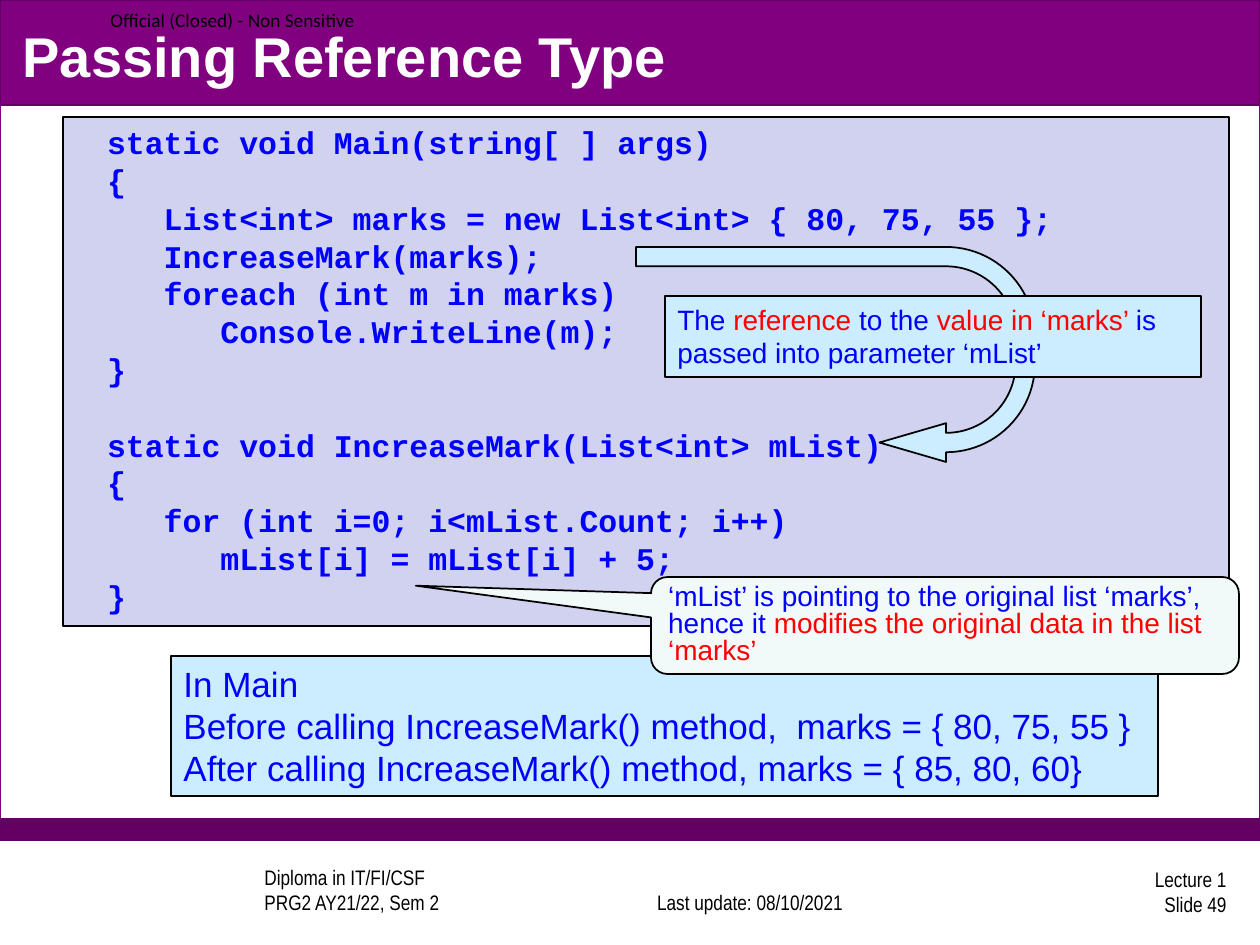
from pptx import Presentation
from pptx.dml.color import RGBColor
from pptx.enum.shapes import MSO_SHAPE as Shape
from pptx.enum.text import MSO_ANCHOR as Anchor, PP_ALIGN as Align
from pptx.util import Pt

EMU_PER_PX = 914400 / 126

BLACK = RGBColor(0, 0, 0)
WHITE = RGBColor(255, 255, 255)
PURPLE = RGBColor(0x80, 0x00, 0x80)
DARK_PURPLE = RGBColor(0x64, 0x00, 0x64)
LAVENDER = RGBColor(0xD1, 0xD1, 0xF0)
SKY = RGBColor(0xCC, 0xEC, 0xFF)
MINT = RGBColor(0xF1, 0xF9, 0xF9)
BLUE = RGBColor(0, 0, 255)
RED = RGBColor(255, 0, 0)

TITLE = "Passing Reference Type"

# Each block is a list of methods, each method a list of lines
CODE_METHODS = [
    [
        "static void Main(string[ ] args)",
        "{",
        "   List<int> marks = new List<int> { 80, 75, 55 };",
        "   IncreaseMark(marks);",
        "   foreach (int m in marks)",
        "      Console.WriteLine(m);",
        "}",
    ],
    [
        "static void IncreaseMark(List<int> mList)",
        "{",
        "   for (int i=0; i<mList.Count; i++)",
        "      mList[i] = mList[i] + 5;",
        "}",
    ],
]
RESULT_LINES = [
    "In Main",
    "Before calling IncreaseMark() method,  marks = { 80, 75, 55 }",
    "After calling IncreaseMark() method, marks = { 85, 80, 60}",
]
CALLOUT_SPANS = [
    ("‘mList’ is pointing to the original list ‘marks’, hence it ", BLUE),
    ("modifies the original data in the list ‘marks’", RED),
]
REFERENCE_SPANS = [
    ("The ", BLUE),
    ("reference", RED),
    (" to the ", BLUE),
    ("value in ‘marks’ ", RED),
    ("is passed into parameter ‘mList’", BLUE),
]

# place, fill, line
BANDS = [
    ((0, 0, 1260, 840), WHITE, PURPLE),
    ((0, 819, 1260, 21), DARK_PURPLE, DARK_PURPLE),
    ((0, 0, 1260, 105), PURPLE, DARK_PURPLE),
]
# text, place, anchor, alignment, font, size
LABELS = [
    ("Diploma in IT/FI/CSF\vPRG2 AY21/22, Sem 2", (252, 868, 336, 53),
     Anchor.BOTTOM, Align.LEFT, "Arial Narrow", 12),
    ("Last update: 08/10/2021", (619, 868, 262, 53),
     Anchor.BOTTOM, Align.CENTER, "Arial Narrow", 12),
    ("Lecture 1\vSlide 49", (977, 865, 262, 53),
     Anchor.MIDDLE, Align.RIGHT, "Arial Narrow", 12),
    ("Official (Closed) - Non Sensitive", (98, 0, 281, 39),
     Anchor.MIDDLE, Align.LEFT, "Calibri", 11),
]


def px(length):
    return round(length * EMU_PER_PX)


def style(para, name, size, color=None, bold=False, align=Align.LEFT):
    para.alignment = align
    para.font.name = name
    para.font.size = Pt(size)
    para.font.bold = bold
    if color is not None:
        para.font.color.rgb = color


def add_panel(page, kind, place, fill, line, weight=0.75, anchor=Anchor.TOP):
    panel = page.shapes.add_shape(kind, *map(px, place))
    panel.shadow.inherit = False
    panel.fill.solid()
    panel.fill.fore_color.rgb = fill
    panel.line.color.rgb = line
    panel.line.width = Pt(weight)
    panel.text_frame.word_wrap = True
    panel.text_frame.vertical_anchor = anchor
    return panel


def write_lines(panel, lines, name, size, bold=False):
    frame = panel.text_frame
    frame.text = "\n".join(lines)
    for para in frame.paragraphs:
        style(para, name, size, BLUE, bold)


def write_spans(panel, spans):
    para = panel.text_frame.paragraphs[0]
    style(para, "Arial", 16)
    for text, color in spans:
        span = para.add_run()
        span.text = text
        span.font.color.rgb = color
    return para


def add_label(page, text, place, anchor, align, name, size):
    box = page.shapes.add_textbox(*map(px, place))
    frame = box.text_frame
    frame.word_wrap = True
    frame.vertical_anchor = anchor
    frame.text = text
    style(frame.paragraphs[0], name, size, BLACK, align=align)


def add_title(page):
    title = page.shapes.title
    title.left, title.top, title.width, title.height = map(px, (10, 16, 1239, 78))
    title.text_frame.text = TITLE
    title.text_frame.vertical_anchor = Anchor.MIDDLE
    style(title.text_frame.paragraphs[0], "Arial", 32, WHITE, bold=True)
    page.shapes._spTree.append(title._element)  # in front of the bands


def add_code(page):
    panel = add_panel(page, Shape.RECTANGLE, (63, 117, 1166, 509), LAVENDER, BLACK)
    panel.text_frame.margin_left = px(44)
    write_lines(panel, sum(CODE_METHODS, []), "Courier New", 18, bold=True)
    second_method = panel.text_frame.paragraphs[len(CODE_METHODS[0])]
    second_method.space_before = Pt(21.6)


def add_explanations(page):
    result = add_panel(page, Shape.RECTANGLE, (171, 656, 987, 140), SKY, BLACK)
    write_lines(result, RESULT_LINES, "Arial", 20)

    callout = add_panel(page, Shape.ROUNDED_RECTANGULAR_CALLOUT,
                        (651, 577, 588, 97), MINT, BLACK, 1, Anchor.MIDDLE)
    for index, value in enumerate((-0.9, -0.41, 0.17)):
        callout.adjustments[index] = value
    write_spans(callout, CALLOUT_SPANS).line_spacing = 0.8

    arrow = add_panel(page, Shape.U_TURN_ARROW, (728, 155, 215, 399), SKY, BLACK, 1)
    arrow.rotation = 90
    for index, value in enumerate((0.09, 0.09, 0.31, 0.44, 0.39)):
        arrow.adjustments[index] = value

    reference = add_panel(page, Shape.RECTANGLE, (665, 296, 536, 81), SKY, BLACK)
    write_spans(reference, REFERENCE_SPANS)


def main():
    deck = Presentation()
    deck.slide_width, deck.slide_height = px(1260), px(945)
    page = deck.slides.add_slide(deck.slide_layouts[5])
    for place, fill, line in BANDS:
        add_panel(page, Shape.RECTANGLE, place, fill, line)
    for label in LABELS:
        add_label(page, *label)
    add_title(page)
    add_code(page)
    add_explanations(page)
    deck.save("out.pptx")


if __name__ == "__main__":
    main()
